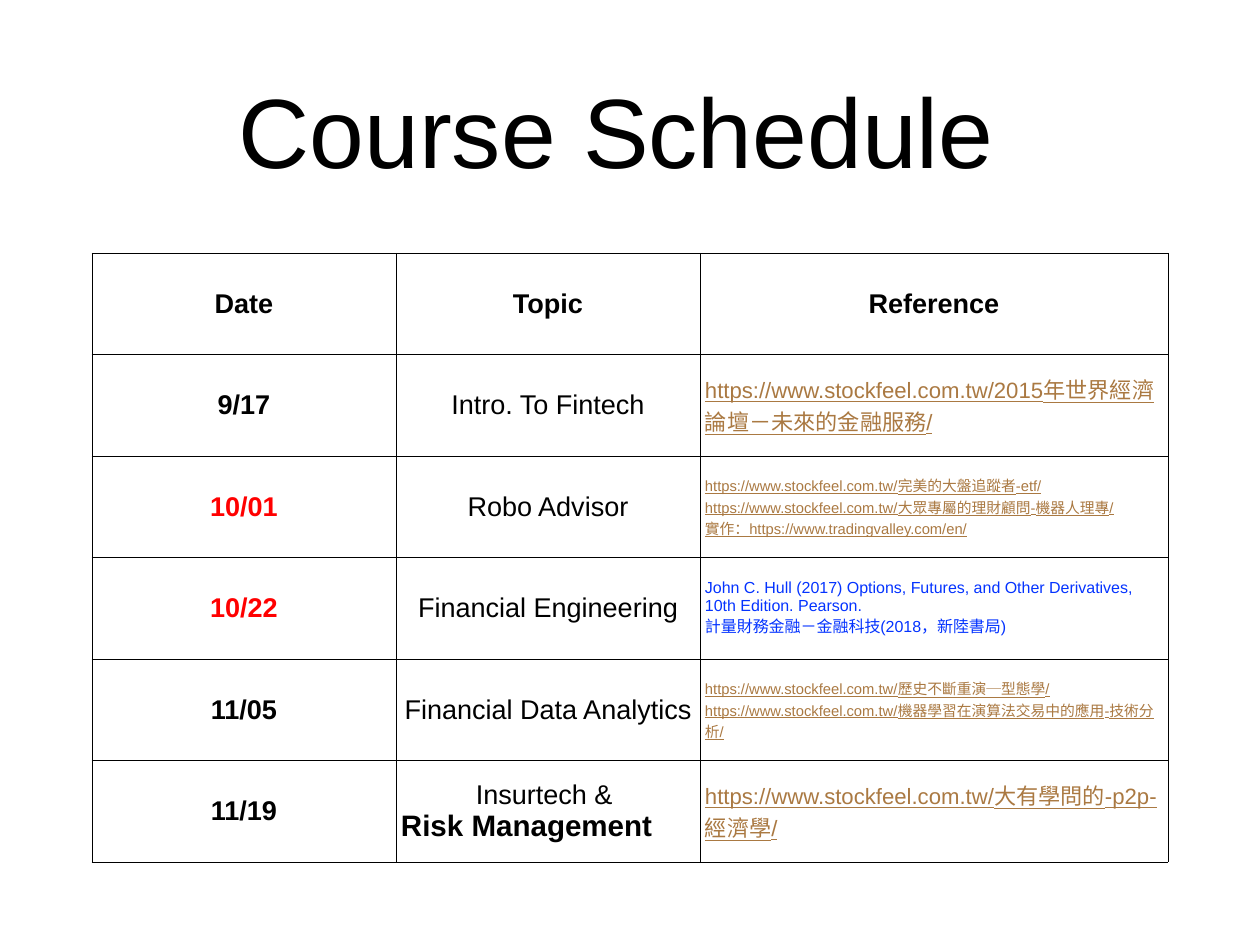
from copy import deepcopy

from lxml.etree import SubElement
from pptx import Presentation
from pptx.dml.color import RGBColor
from pptx.enum.text import MSO_ANCHOR, MSO_AUTO_SIZE, PP_ALIGN
from pptx.oxml.ns import qn
from pptx.util import Pt

BLACK, RED, BLUE, BROWN = "000000", "FF0000", "0433FF", "AA7942"
SITE = "https://www.stockfeel.com.tw/"

TITLE = "Course Schedule "
HEADINGS = ["Date", "Topic", "Reference"]
LINK = {"size": 18, "color": BROWN, "underline": True}
SMALL_LINK = {**LINK, "size": 12}
CITATION = {"size": 13, "color": BLUE}
SESSIONS = [
    ("9/17", BLACK, "Intro. To Fintech",
     [SITE + "2015年世界經濟論壇－未來的金融服務/"], LINK),
    ("10/01", RED, "Robo Advisor",
     [SITE + "完美的大盤追蹤者-etf/",
      SITE + "大眾專屬的理財顧問-機器人理專/\n實作：https://www.tradingvalley.com/en/"], SMALL_LINK),
    ("10/22", RED, "Financial Engineering",
     ["John C. Hull (2017) Options, Futures, and Other Derivatives, 10th Edition. Pearson.\n"
      "計量財務金融－金融科技(2018，新陸書局)"], CITATION),
    ("11/05", BLACK, "Financial Data Analytics",
     [SITE + "歷史不斷重演─型態學/\n" + SITE + "機器學習在演算法交易中的應用-技術分析/"], SMALL_LINK),
    ("11/19", BLACK, "Insurtech & ",
     [SITE + "大有學問的-p2p-經濟學/"], LINK),
]
LAST_TOPIC_LINE = "Risk Management"

SLIDE_SIZE = (1260, 945)
TITLE_BOX = (92, 25, 1076, 209)
TABLE_BOX = (92, 253, 1076, 609)
COLUMN_WIDTHS = [304, 304, 468]
SIDE_MARGIN, END_MARGIN = 5, 4
BORDER_WIDTH = Pt(0.45)


def px(value):
    return round(value * 914400 / 88.6)


def rgb(value):
    return RGBColor.from_string(value)


def write(paragraph, text, size=22, color=BLACK, bold=False, underline=False, align=PP_ALIGN.LEFT):
    paragraph.text = text
    paragraph.alignment = align
    for run in paragraph.runs:
        run.font.name = "Arial"
        run.font.size = Pt(size)
        run.font.bold = bold
        run.font.underline = underline
        run.font.color.rgb = rgb(color)
    for line_break in paragraph._p.findall(qn("a:br")):
        line_break.insert(0, deepcopy(paragraph.runs[0].font._element))


def set_margins(target, side, end):
    target.margin_left = target.margin_right = px(side)
    target.margin_top = target.margin_bottom = px(end)


def format_cell(cell):
    set_margins(cell, SIDE_MARGIN, END_MARGIN)
    cell.vertical_anchor = MSO_ANCHOR.MIDDLE
    properties = cell._tc.get_or_add_tcPr()
    for side in ("a:lnL", "a:lnR", "a:lnT", "a:lnB"):
        border = SubElement(properties, qn(side), w=str(BORDER_WIDTH))
        fill = SubElement(border, qn("a:solidFill"))
        SubElement(fill, qn("a:srgbClr"), val=BLACK)
    cell.fill.background()


def add_title(slide):
    title = slide.shapes.title
    title.left, title.top, title.width, title.height = map(px, TITLE_BOX)
    frame = title.text_frame
    frame.word_wrap = True
    frame.auto_size = MSO_AUTO_SIZE.NONE
    frame.vertical_anchor = MSO_ANCHOR.MIDDLE
    set_margins(frame, SIDE_MARGIN, SIDE_MARGIN)
    write(frame.paragraphs[0], TITLE, size=80, align=PP_ALIGN.CENTER)


def add_schedule(slide):
    row_count = len(SESSIONS) + 1
    table = slide.shapes.add_table(row_count, len(HEADINGS), *map(px, TABLE_BOX)).table
    table.first_row = table.horz_banding = False
    for column, width in zip(table.columns, COLUMN_WIDTHS):
        column.width = px(width)
    for row in table.rows:
        row.height = px(TABLE_BOX[3] / row_count)
    for cell in table.iter_cells():
        format_cell(cell)

    for index, heading in enumerate(HEADINGS):
        write(table.cell(0, index).text_frame.paragraphs[0], heading, bold=True, align=PP_ALIGN.CENTER)
    for index, (date, date_color, topic, references, style) in enumerate(SESSIONS, 1):
        date_frame, topic_frame, reference_frame = (cell.text_frame for cell in table.rows[index].cells)
        write(date_frame.paragraphs[0], date, color=date_color, bold=True, align=PP_ALIGN.CENTER)
        write(topic_frame.paragraphs[0], topic, align=PP_ALIGN.CENTER)
        for position, reference in enumerate(references):
            paragraph = reference_frame.add_paragraph() if position else reference_frame.paragraphs[0]
            write(paragraph, reference, **style)
    write(topic_frame.add_paragraph(), LAST_TOPIC_LINE, size=24, bold=True)


def main():
    presentation = Presentation()
    presentation.slide_width, presentation.slide_height = map(px, SLIDE_SIZE)
    slide = presentation.slides.add_slide(presentation.slide_layouts[5])
    add_title(slide)
    add_schedule(slide)
    presentation.save("out.pptx")


if __name__ == "__main__":
    main()
